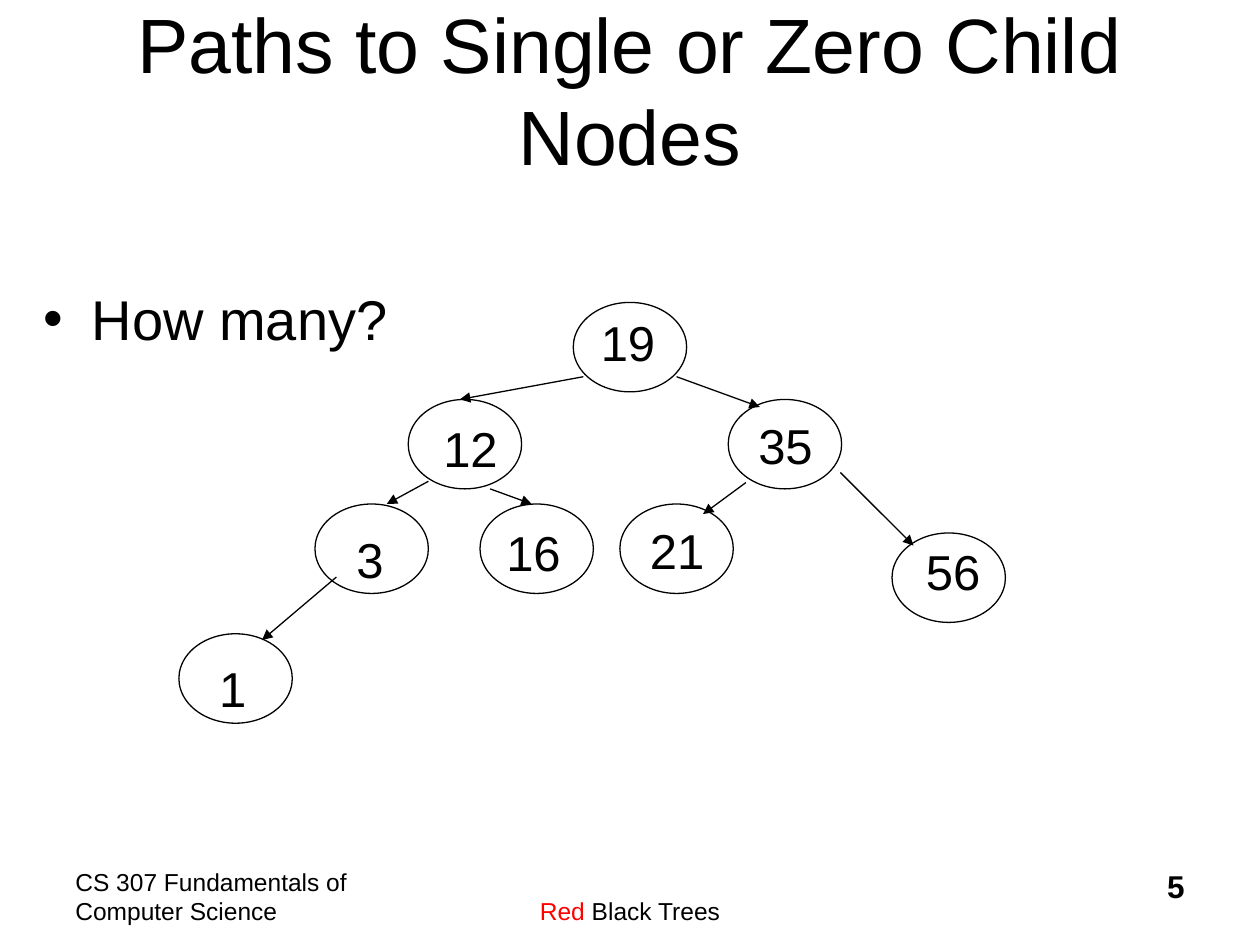
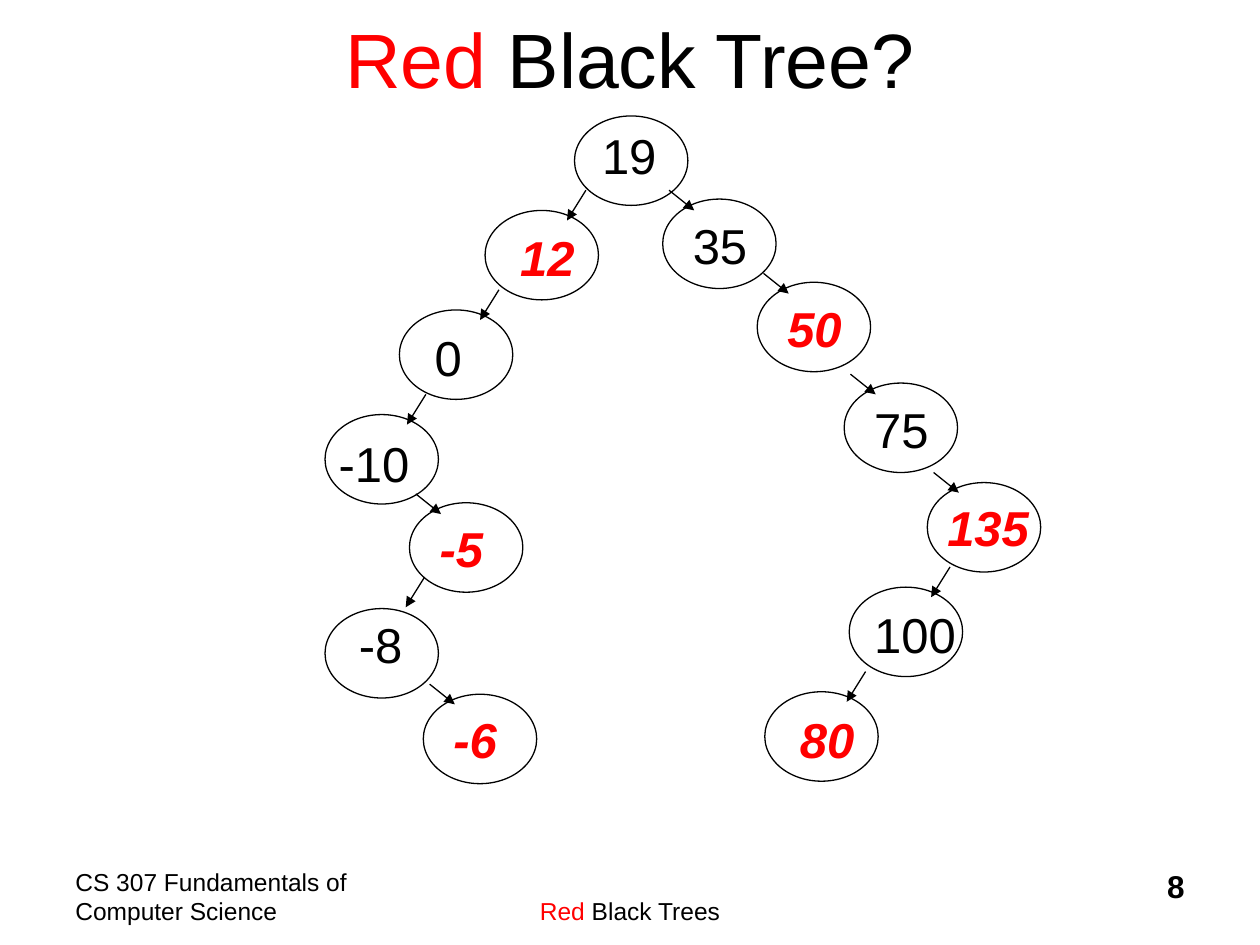
from dataclasses import dataclass
from lxml.etree import SubElement
from pptx import Presentation
from pptx.dml.color import RGBColor
from pptx.enum.shapes import MSO_CONNECTOR, MSO_SHAPE
from pptx.enum.text import MSO_ANCHOR, MSO_AUTO_SIZE, PP_ALIGN
from pptx.oxml.ns import qn
from pptx.util import Inches, Pt


@dataclass(frozen=True)
class Theme:
    font: str = "Arial"
    black: RGBColor = RGBColor(0, 0, 0)
    red: RGBColor = RGBColor(255, 0, 0)
    title_size: int = 44
    body_size: int = 32
    node_size: int = 28
    number_size: int = 18
    footer_size: int = 14
    line_width: float = 0.75
    node_width: float = 0.9
    node_height: float = 0.71


THEME = Theme()
RIGHT_STEP = (0.2, 0.16)
LEFT_STEP = (-0.15, 0.24)

SINGLE_CHILD_NODES = [
    ("19", 4.55, 2.4, 0.12, 0.03),
    ("12", 3.24, 3.17, 0.18, 0.1),
    ("35", 5.78, 3.17, 0.14, 0.08),
    ("3", 2.5, 4, 0.23, 0.15),
    ("16", 3.81, 4, 0.11, 0.1),
    ("21", 4.92, 4, 0.14, 0.08),
    ("56", 7.08, 4.23, 0.17, 0.02),
    ("1", 1.42, 5.03, 0.22, 0.15),
]
SINGLE_CHILD_ARROWS = [
    (4.63, 2.99, 3.65, 3.17),
    (5.37, 2.99, 6.03, 3.23),
    (3.4, 3.82, 3.07, 4),
    (3.89, 3.88, 4.22, 4),
    (5.92, 3.83, 5.58, 4.08),
    (6.67, 3.75, 7.25, 4.33),
    (2.67, 4.58, 2.08, 5.08),
]

RED_BLACK_NODES = [
    ("19", 4.56, 0.92, 0.12, 0.03),
    ("12", 3.85, 1.67, 0.18, 0.09),
    ("35", 5.26, 1.58, 0.14, 0.08),
    ("0", 3.17, 2.46, 0.18, 0.09),
    ("-10", 2.58, 3.29, 0.01, 0.1),
    ("-5", 3.25, 3.99, 0.14, 0.08),
    ("-8", 2.58, 4.83, 0.17, 0),
    ("-6", 3.36, 5.51, 0.14, 0.07),
    ("50", 6.01, 2.24, 0.14, 0.08),
    ("75", 6.7, 3.04, 0.14, 0.08),
    ("135", 7.36, 3.83, 0.06, 0.07),
    ("100", 6.74, 4.66, 0.1, 0.09),
    ("80", 6.07, 5.49, 0.18, 0.09),
]
RED_VALUES = {"12", "-5", "-6", "50", "135", "80"}
LEFT_STARTS = [(4.65, 1.51), (3.96, 2.3), (3.38, 3.13), (3.37, 4.58), (7.54, 4.5), (6.87, 5.33)]
RIGHT_STARTS = [(5.31, 1.51), (3.3, 3.92), (3.41, 5.43), (6.06, 2.17), (6.75, 2.97), (7.41, 3.75)]


def add_text(slide, box, runs, size, align=PP_ALIGN.LEFT, anchor=MSO_ANCHOR.TOP,
             wrap=True, bullet_indent=None, **style):
    shape = slide.shapes.add_textbox(*map(Inches, box))
    frame = shape.text_frame
    frame.word_wrap = wrap
    frame.auto_size = MSO_AUTO_SIZE.NONE if wrap else MSO_AUTO_SIZE.SHAPE_TO_FIT_TEXT
    frame.vertical_anchor = anchor
    paragraph = frame.paragraphs[0]
    paragraph.alignment = align
    if bullet_indent:
        properties = paragraph._p.get_or_add_pPr()
        properties.set("marL", str(Inches(bullet_indent)))
        properties.set("indent", str(-Inches(bullet_indent)))
        SubElement(properties, qn("a:buFont")).set("typeface", THEME.font)
        SubElement(properties, qn("a:buChar")).set("char", "•")
    for text, color in runs:
        run = paragraph.add_run()
        run.text = text
        run.font.color.rgb = color
        for name, value in {"name": THEME.font, "size": Pt(size), **style}.items():
            setattr(run.font, name, value)


def add_title(slide, top, runs):
    add_text(slide, (0.75, top, 8.5, 1.25), runs, THEME.title_size,
             PP_ALIGN.CENTER, MSO_ANCHOR.MIDDLE)


def add_footer(slide, number):
    add_text(slide, (0.5, 6.83, 2.5, 0.5),
             [("CS 307 Fundamentals of Computer Science", THEME.black)], THEME.footer_size)
    add_text(slide, (3.08, 7.06, 3.84, 0.28),
             [("Red", THEME.red), (" Black Trees", THEME.black)],
             THEME.footer_size, PP_ALIGN.CENTER)
    add_text(slide, (7.42, 6.83, 2.08, 0.5), [(str(number), THEME.black)],
             THEME.number_size, PP_ALIGN.RIGHT, bold=True)


def style_line(line):
    line.color.rgb = THEME.black
    line.width = Pt(THEME.line_width)


def add_node(slide, value, left, top, label_dx, label_dy, is_red=False):
    ellipse = slide.shapes.add_shape(
        MSO_SHAPE.OVAL, *map(Inches, (left, top, THEME.node_width, THEME.node_height)))
    ellipse.shadow.inherit = False
    ellipse.fill.background()
    style_line(ellipse.line)
    label_width = 0.2 + sum(0.13 if letter == "-" else 0.22 for letter in value)
    color = THEME.red if is_red else THEME.black
    add_text(slide, (left + label_dx, top + label_dy, label_width, 0.57),
             [(value, color)], THEME.node_size, wrap=False, bold=is_red, italic=is_red)


def add_arrow(slide, *ends):
    connector = slide.shapes.add_connector(MSO_CONNECTOR.STRAIGHT, *map(Inches, ends))
    style_line(connector.line)
    SubElement(connector.line._get_or_add_ln(), qn("a:tailEnd")).set("type", "triangle")
    SubElement(connector._element.spPr, qn("a:effectLst"))


def build_paths_slide(slide):
    add_footer(slide, 5)
    add_title(slide, 0.08, [("Paths to Single or Zero Child Nodes", THEME.black)])
    add_text(slide, (0.25, 2.21, 9.5, 4.71), [("How many?", THEME.black)],
             THEME.body_size, bullet_indent=0.38)
    for node in SINGLE_CHILD_NODES:
        add_node(slide, *node)
    for arrow in SINGLE_CHILD_ARROWS:
        add_arrow(slide, *arrow)


def build_red_black_slide(slide):
    add_footer(slide, 8)
    add_title(slide, -0.17, [("Red", THEME.red), (" Black Tree?", THEME.black)])
    for node in RED_BLACK_NODES:
        add_node(slide, *node, is_red=node[0] in RED_VALUES)
    for starts, (dx, dy) in ((LEFT_STARTS, LEFT_STEP), (RIGHT_STARTS, RIGHT_STEP)):
        for x, y in starts:
            add_arrow(slide, x, y, x + dx, y + dy)


def main():
    presentation = Presentation()
    presentation.slide_width = Inches(10)
    presentation.slide_height = Inches(7.5)
    blank = presentation.slide_layouts[6]
    for build in (build_paths_slide, build_red_black_slide):
        build(presentation.slides.add_slide(blank))
    presentation.save("out.pptx")


if __name__ == "__main__":
    main()
